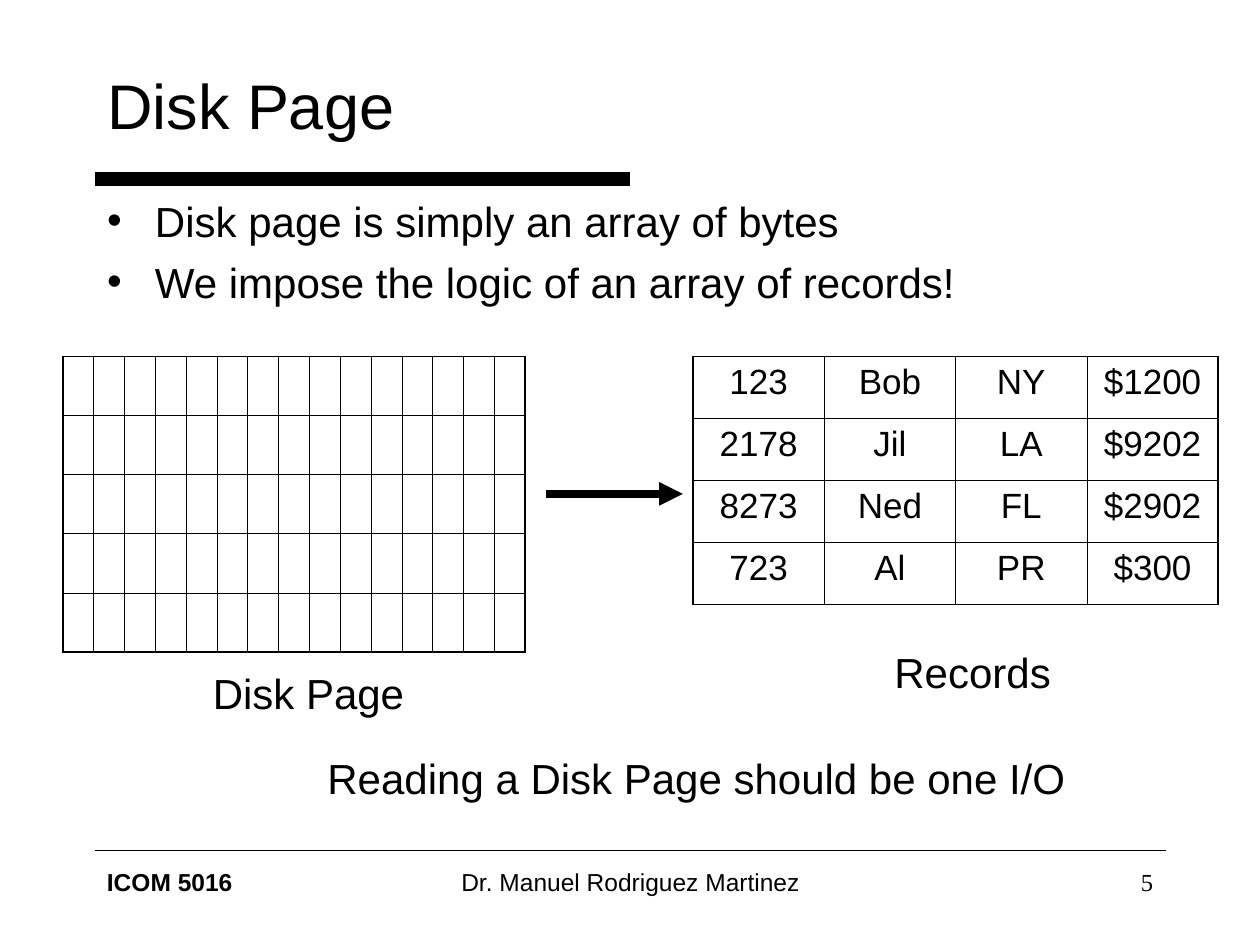
from lxml.etree import SubElement
from pptx import Presentation
from pptx.dml.color import RGBColor
from pptx.enum.shapes import MSO_CONNECTOR
from pptx.enum.text import MSO_ANCHOR, MSO_AUTO_SIZE, PP_ALIGN
from pptx.oxml.ns import qn
from pptx.util import Inches, Pt

BLACK = RGBColor(0, 0, 0)
SANS, SERIF = "Arial", "Times New Roman"
THIN, THICK = Pt(0.45), Pt(1.08)

POINTS = [
    "Disk page is simply an array of bytes",
    "We impose the logic of an array of records!",
]
RECORDS = [
    ["123", "Bob", "NY", "$1200"],
    ["2178", "Jil", "LA", "$9202"],
    ["8273", "Ned", "FL", "$2902"],
    ["723", "Al", "PR", "$300"],
]
BYTES = [[""] * 15 for _ in range(5)]


def inches(*box):
    return [Inches(n) for n in box]


def add_run(para, text, size, font=SANS, bold=False):
    run = para.add_run()
    run.text = text
    run.font.size = Pt(size)
    run.font.name = font
    run.font.bold = bold
    run.font.color.rgb = BLACK


def add_line(slide, start, end, width, arrow=False):
    line = slide.shapes.add_connector(
        MSO_CONNECTOR.STRAIGHT, *inches(*start), *inches(*end))
    line.line.color.rgb = BLACK
    line.line.width = Pt(width)
    if arrow:
        SubElement(line.line._get_or_add_ln(), qn("a:tailEnd"), type="triangle")
    SubElement(line._element.spPr, qn("a:effectLst"))


def add_label(slide, box, text, size=24, align=PP_ALIGN.LEFT, wrap=False,
              font=SANS, bold=False):
    frame = slide.shapes.add_textbox(*inches(*box)).text_frame
    frame.word_wrap = wrap
    if not wrap:
        frame.auto_size = MSO_AUTO_SIZE.SHAPE_TO_FIT_TEXT
    para = frame.paragraphs[0]
    para.alignment = align
    add_run(para, text, size, font, bold)


def place(shape, box):
    shape.left, shape.top, shape.width, shape.height = inches(*box)
    shape.text_frame.auto_size = MSO_AUTO_SIZE.NONE
    return shape.text_frame


# Title with its thick rule
def add_title(slide, box):
    frame = place(slide.shapes.title, box)
    frame.vertical_anchor = MSO_ANCHOR.MIDDLE
    para = frame.paragraphs[0]
    para.alignment = PP_ALIGN.LEFT
    add_run(para, "Disk Page", 36)
    left, top, width, height = box
    rule = top + height + 0.09
    add_line(slide, (left, rule), (left + width / 2, rule), 8)


# Bulleted list
def add_list(slide, box):
    frame = place(slide.placeholders[1], box)
    for i, text in enumerate(POINTS):
        para = frame.add_paragraph() if i else frame.paragraphs[0]
        para.space_before = Pt(6)
        props = para._p.get_or_add_pPr()
        props.set("marL", str(Inches(0.38)))
        props.set("indent", str(-Inches(0.38)))
        SubElement(props, qn("a:buChar"), char="•")
        add_run(para, text, 24)


# Tables: thick outer edge, thin inner lines
def add_border(cell, side, width):
    line = SubElement(cell._tc.get_or_add_tcPr(), qn("a:ln" + side),
                      w=str(width))
    fill = SubElement(line, qn("a:solidFill"))
    SubElement(fill, qn("a:srgbClr"), val=str(BLACK))


def fill_cell(cell, text):
    para = cell.text_frame.paragraphs[0]
    para.alignment = PP_ALIGN.CENTER
    if text:
        para.space_before = Pt(5)
        add_run(para, text, 20)
    else:
        # The size of an empty cell's text sets the row height
        end = SubElement(para._p, qn("a:endParaRPr"), sz="2400")
        SubElement(end, qn("a:latin"), typeface=SERIF)


def add_grid(slide, box, data):
    rows, cols = len(data), len(data[0])
    left, top, width, height = inches(*box)
    table = slide.shapes.add_table(rows, cols, left, top, width, height).table
    table.first_row = table.horz_banding = False
    for r, row in enumerate(data):
        for c, text in enumerate(row):
            cell = table.cell(r, c)
            edges = {"L": c == 0, "R": c == cols - 1,
                     "T": r == 0, "B": r == rows - 1}
            for side, outer in edges.items():
                add_border(cell, side, THICK if outer else THIN)
            cell.fill.background()
            fill_cell(cell, text)


# Disk page turned into records
def add_figure(slide, left, top):
    add_grid(slide, (left, top, 3.67, 2), BYTES)
    add_grid(slide, (left + 5, top, 4.17, 1.97), RECORDS)
    mid = top + 1.09
    add_line(slide, (left + 3.83, mid), (left + 4.92, mid), 4.5, arrow=True)
    add_label(slide, (left + 1.09, top + 2.42, 1.72, 0.5), "Disk Page")
    add_label(slide, (left + 6.5, top + 2.25, 1.44, 0.5), "Records")
    # Wide enough to keep the sentence on one line
    add_label(slide, (left + 2, top + 3.09, 6.25, 0.5),
              "Reading a Disk Page should be one I/O", wrap=True)


# Footer: course, author and page number
def add_footer(slide, left, top, width):
    add_line(slide, (left, top), (left + width, top), 1)
    top += 0.08
    add_label(slide, (left, top, 2.08, 0.5), "ICOM 5016", 14,
              wrap=True, bold=True)
    add_label(slide, (left + 2.67, top, 3.17, 0.5),
              "Dr. Manuel Rodriguez Martinez", 14, PP_ALIGN.CENTER, wrap=True)
    add_label(slide, (left + width - 2.08, top, 2.08, 0.5), "5", 14,
              PP_ALIGN.RIGHT, wrap=True, font=SERIF)


def main():
    deck = Presentation()
    deck.slide_width, deck.slide_height = inches(10, 7.5)
    slide = deck.slides.add_slide(deck.slide_layouts[1])
    add_title(slide, (0.75, 0.33, 8.5, 1))
    add_list(slide, (0.75, 1.5, 8.5, 5.17))
    add_figure(slide, 0.5, 2.83)
    add_footer(slide, 0.75, 6.75, 8.5)
    deck.save("out.pptx")


if __name__ == "__main__":
    main()
